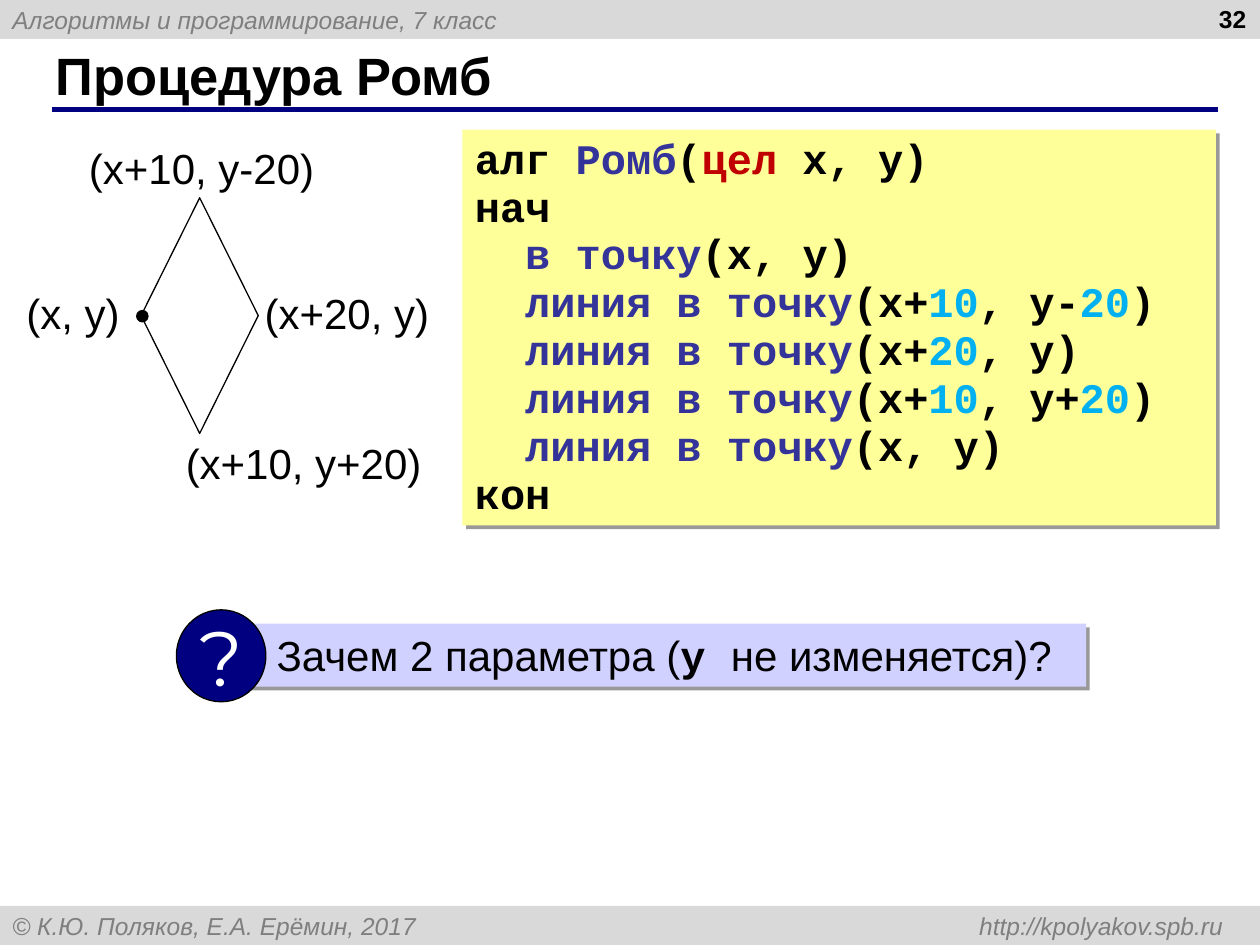
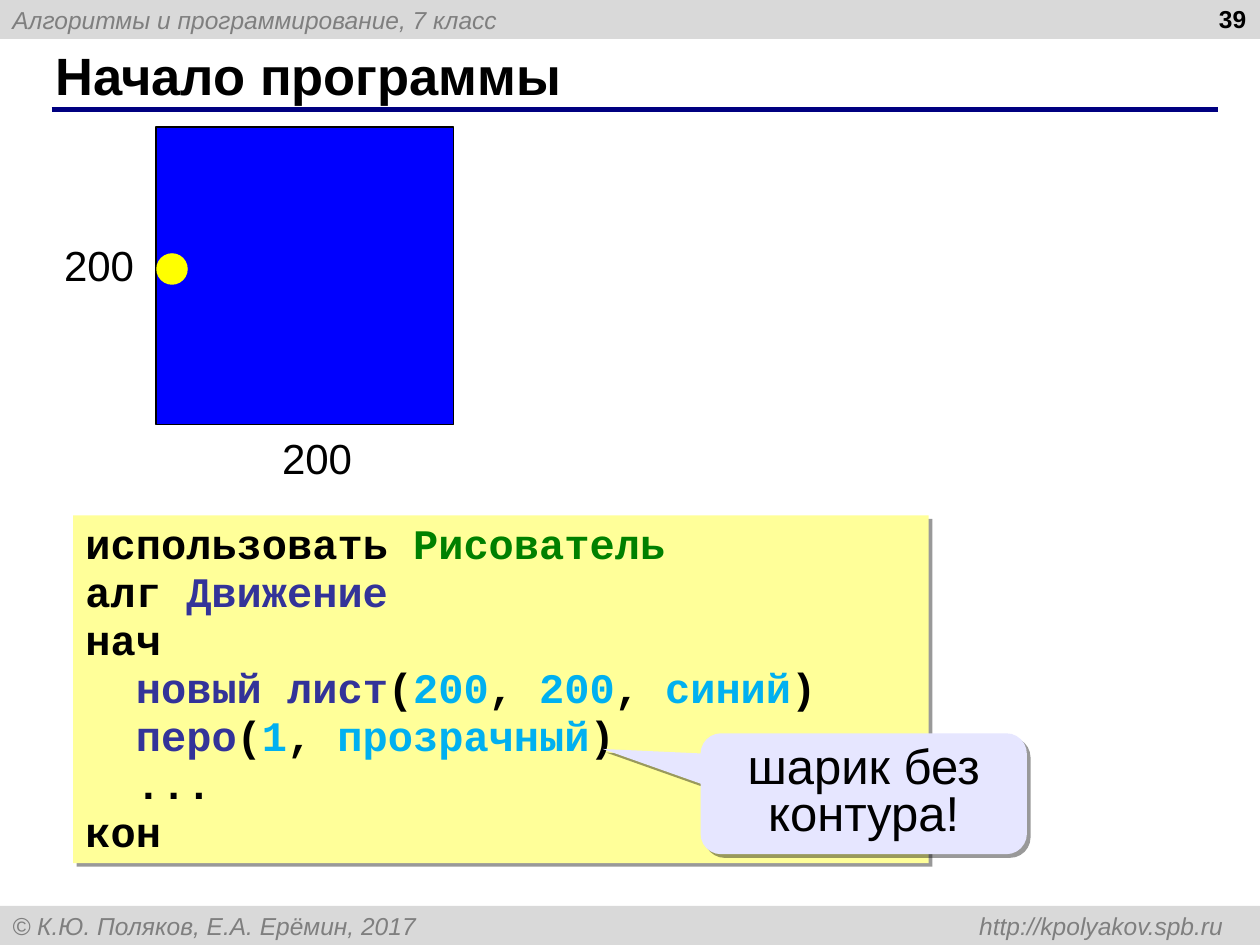
"""Build two slides of a programming lesson."""
from dataclasses import dataclass
from typing import Any

from lxml import etree
from pptx import Presentation
from pptx import util as u
from pptx.dml import color
from pptx.enum import shapes, text
from pptx.oxml import ns

WIDE, HIGH = u.Inches(10), u.Inches(7.5)
COLS, ROWS = 100, 75
SANS, MONO = "Arial", "Courier New"
HUES = {
    "black": "000000", "white": "FFFFFF", "band": "D9D9D9", "grey": "7F7F7F",
    "navy": "000080", "code": "FFFF99", "ask": "D1D1FF", "note": "E6E6FF",
    "blue": "0000FF", "yellow": "FFFF00", "name": "333399", "type": "C00000",
    "value": "00B0F0", "module": "008000",
}
MARKS: dict[str, dict[str, Any]] = {
    "n": {"hue": "name"}, "t": {"hue": "type"}, "v": {"hue": "value"},
    "m": {"hue": "module"}, "b": {"face": MONO, "bold": True},
}
KIND = shapes.MSO_SHAPE
ALIGN, ANCHOR = text.PP_ALIGN, text.MSO_ANCHOR


@dataclass(frozen=True)
class Box:
    """Place on the grid in columns and rows."""
    x: float
    y: float
    w: float
    h: float

    def spots(self) -> tuple[int, int, int, int]:
        """Return left, top, width and height in slide units."""
        return across(self.x), down(self.y), across(self.w), down(self.h)


@dataclass(frozen=True)
class Band:
    """Grey strip with a caption."""
    box: Box
    words: str
    tab: float = 0


@dataclass(frozen=True)
class Label:
    """Caption beside a drawing."""
    box: Box
    words: str
    align: Any = ALIGN.CENTER


BANDS = (
    Band(Box(0, 0, COLS, 3.1), "Алгоритмы и программирование, 7 класс"),
    Band(Box(0, 71.9, COLS, 3.1),
         "© К.Ю. Поляков, Е.А. Ерёмин, 2017 \thttp://kpolyakov.spb.ru", 96.1),
)
POINTS = (
    Label(Box(0.8, 22.8, 10, 3.7), "(x, y)"),
    Label(Box(5.3, 11.3, 21.4, 3.7), "(x+10, y-20)"),
    Label(Box(13.4, 34.7, 21.4, 3.7), "(x+10, y+20)"),
    Label(Box(21, 22.8, 14.2, 3.7), "(x+20, y)", ALIGN.LEFT),
)
SIDES = (
    Label(Box(4.1, 18.5, 7.5, 5), "200", ALIGN.LEFT),
    Label(Box(21.4, 33.8, 7.5, 5), "200", ALIGN.LEFT),
)
RHOMB = """алг |nРомб|(|tцел| x, y)
нач
  |nв точку|(x, y)
  |nлиния в точку|(x+|v10|, y-|v20|)
  |nлиния в точку|(x+|v20|, y)
  |nлиния в точку|(x+|v10|, y+|v20|)
  |nлиния в точку|(x, y)
кон"""
START = """использовать |mРисователь
алг |nДвижение
нач
  |nновый лист|(|v200|, |v200|, |vсиний|)
  |nперо|(|v1|, |vпрозрачный|)
  ...
кон"""


def across(cols: float) -> int:
    """Turn columns into slide units."""
    return round(WIDE * cols / COLS)


def down(rows: float) -> int:
    """Turn rows into slide units."""
    return round(HIGH * rows / ROWS)


def tint(hue: str) -> color.RGBColor:
    """Look up a colour by name."""
    return color.RGBColor.from_string(HUES[hue])


def style(font: Any, size: float, hue: str = "black", face: str = SANS,
          bold: bool = False, slant: bool = False) -> None:
    """Format one font."""
    font.name, font.size = face, u.Pt(size)
    font.bold, font.italic = bold, slant
    font.color.rgb = tint(hue)


def write(shape: Any, words: str, *, align: Any = ALIGN.LEFT,
          anchor: Any = ANCHOR.TOP, pad: tuple[float, float] = (1, 0.5),
          wrap: bool = True, space: float = 1, tab: float = 0,
          **look: Any) -> None:
    """Fill a shape with lines of marked text."""
    frame = shape.text_frame
    frame.word_wrap, frame.vertical_anchor = wrap, anchor
    frame.auto_size = text.MSO_AUTO_SIZE.NONE
    frame.margin_left = across(pad[0])
    frame.margin_right = across(min(pad[0], 1))
    frame.margin_top = frame.margin_bottom = down(pad[1])
    for row, line in enumerate(words.split("\n")):
        para = frame.add_paragraph() if row else frame.paragraphs[0]
        para.alignment, para.line_spacing = align, space
        if tab:
            stops = etree.SubElement(para._p.get_or_add_pPr(), ns.qn("a:tabLst"))
            etree.SubElement(stops, ns.qn("a:tab"), pos=str(across(tab)), algn="r")
        for turn, piece in enumerate(line.split("|")):
            if piece:
                run = para.add_run()
                run.text = piece[1:] if turn % 2 else piece
                style(run.font, **(look | (MARKS[piece[0]] if turn % 2 else {})))


def draw(slide: Any, kind: Any, box: Box, fill: str = "", edge: float = 0,
         shade: bool = False) -> Any:
    """Add a preset shape with a plain look."""
    shape = slide.shapes.add_shape(kind, *box.spots())
    shape.shadow.inherit = False
    if fill:
        shape.fill.solid()
        shape.fill.fore_color.rgb = tint(fill)
    else:
        shape.fill.background()
    if edge:
        shape.line.color.rgb = tint("black")
        shape.line.width = u.Pt(edge)
    else:
        shape.line.fill.background()
    if shade:
        effects = shape._element.spPr.find(ns.qn("a:effectLst"))
        drop = etree.SubElement(effects, ns.qn("a:outerShdw"), blurRad="0",
                                dist=str(u.Pt(3)), dir="2700000", algn="tl",
                                rotWithShape="0")
        ink = etree.SubElement(drop, ns.qn("a:srgbClr"), val=HUES["black"])
        etree.SubElement(ink, ns.qn("a:alpha"), val="40000")
    return shape


def place(slide: Any, box: Box, words: str, **look: Any) -> None:
    """Add a text box."""
    write(slide.shapes.add_textbox(*box.spots()), words, **look)


def label(slide: Any, items: tuple[Label, ...], **look: Any) -> None:
    """Add the captions of a drawing."""
    for item in items:
        place(slide, item.box, item.words, align=item.align, size=24, **look)


def code(slide: Any, box: Box, words: str) -> None:
    """Add a panel of program code."""
    panel = draw(slide, KIND.RECTANGLE, box, "code", shade=True)
    write(panel, words, space=0.95, size=24, face=MONO, bold=True)


def start(deck: Any, name: str, page: int) -> Any:
    """Add a slide with its bands, title, rule and number."""
    slide = deck.slides.add_slide(deck.slide_layouts.get_by_name("Title Only"))
    for band in BANDS:
        strip = draw(slide, KIND.RECTANGLE, band.box, "band")
        write(strip, band.words, anchor=ANCHOR.MIDDLE, tab=band.tab,
              size=14, hue="grey", slant=True)
    rule = slide.shapes.add_connector(
        shapes.MSO_CONNECTOR.STRAIGHT,
        across(4.1), down(8.7), across(96.7), down(8.7))
    rule.line.color.rgb = tint("navy")
    rule.line.width = u.Pt(3)
    etree.SubElement(rule._element.spPr, ns.qn("a:effectLst"))
    title = slide.shapes.title
    title.left, title.top, title.width, title.height = Box(3.4, 3.3, 91.6, 5.2).spots()
    write(title, name, anchor=ANCHOR.MIDDLE, size=30, bold=True)
    place(slide, Box(76.6, 0, 23.3, 3.1), str(page), align=ALIGN.RIGHT,
          pad=(1, 0.3), size=14, bold=True)
    return slide


def rhomb(deck: Any) -> None:
    """Build the slide on the rhombus procedure."""
    slide = start(deck, "Процедура Ромб", 32)
    draw(slide, KIND.DIAMOND, Box(11.2, 15.7, 9.3, 18.7), edge=0.75)
    draw(slide, KIND.OVAL, Box(10.8, 24.6, 1, 1), "black")
    label(slide, POINTS, pad=(0, 0))
    code(slide, Box(36.7, 10.3, 59.8, 31.4), RHOMB)
    ask = draw(slide, KIND.RECTANGLE, Box(19.1, 49.5, 67.1, 5), "ask", shade=True)
    write(ask, "Зачем 2 параметра (|by |не изменяется)?", pad=(2.85, 0.5), size=24)
    disc = draw(slide, KIND.OVAL, Box(14, 48.4, 7.1, 7.3), "navy", 0.75)
    write(disc, "?", align=ALIGN.CENTER, anchor=ANCHOR.MIDDLE, wrap=False,
          size=44, hue="white", face="Montserrat")


def motion(deck: Any) -> None:
    """Build the slide on the start of the program."""
    slide = start(deck, "Начало программы", 39)
    code(slide, Box(5.8, 40.9, 67.9, 27.6), START)
    draw(slide, KIND.RECTANGLE, Box(12.4, 10.1, 23.6, 23.6), "blue", 1)
    label(slide, SIDES, wrap=False)
    draw(slide, KIND.OVAL, Box(12.4, 20.1, 2.5, 2.5), "yellow")
    note = draw(slide, KIND.ROUNDED_RECTANGULAR_CALLOUT,
                Box(55.6, 58.2, 25.9, 9.6), "note", shade=True)
    for slot, value in enumerate((-0.8, -0.37, 0.17)):
        note.adjustments[slot] = value
    write(note, "шарик без контура!", align=ALIGN.CENTER,
          anchor=ANCHOR.MIDDLE, space=0.8, size=28)


def main() -> None:
    """Build and save the deck."""
    deck = Presentation()
    deck.slide_width, deck.slide_height = WIDE, HIGH
    rhomb(deck)
    motion(deck)
    deck.save("out.pptx")


if __name__ == "__main__":
    main()
